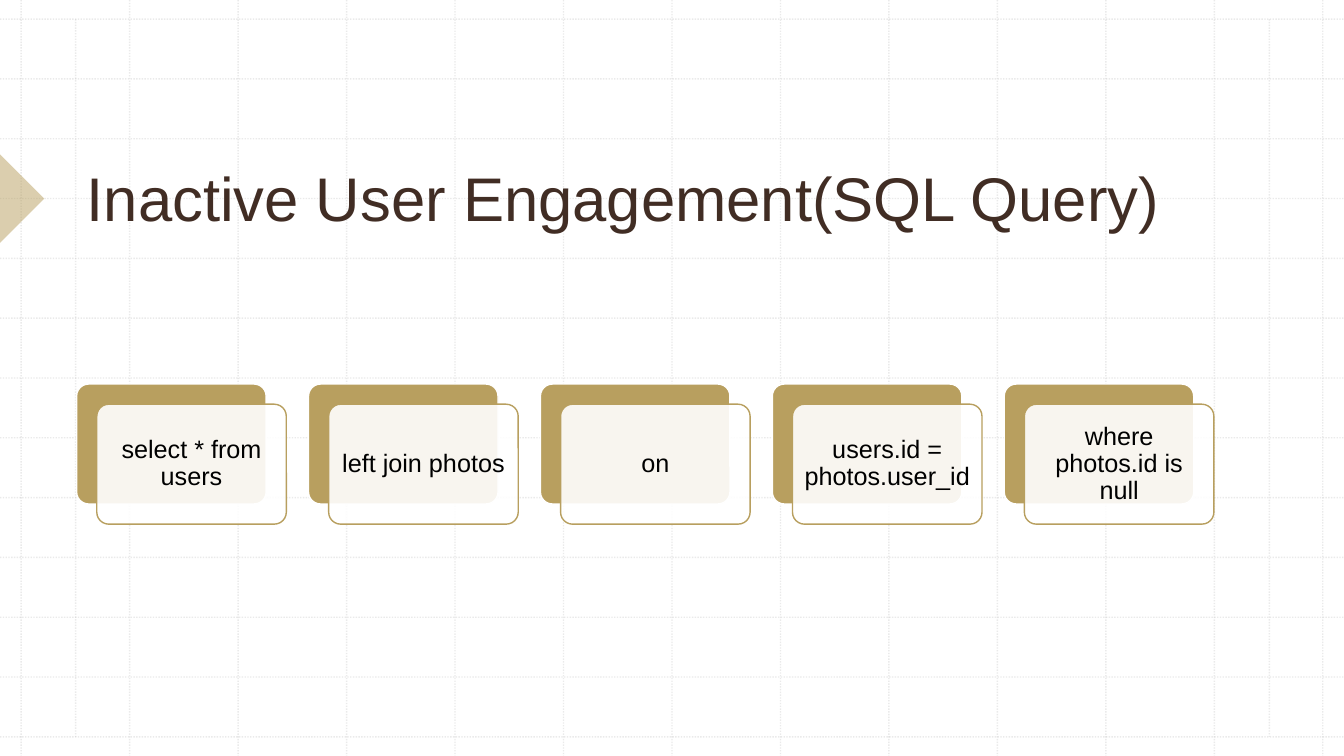
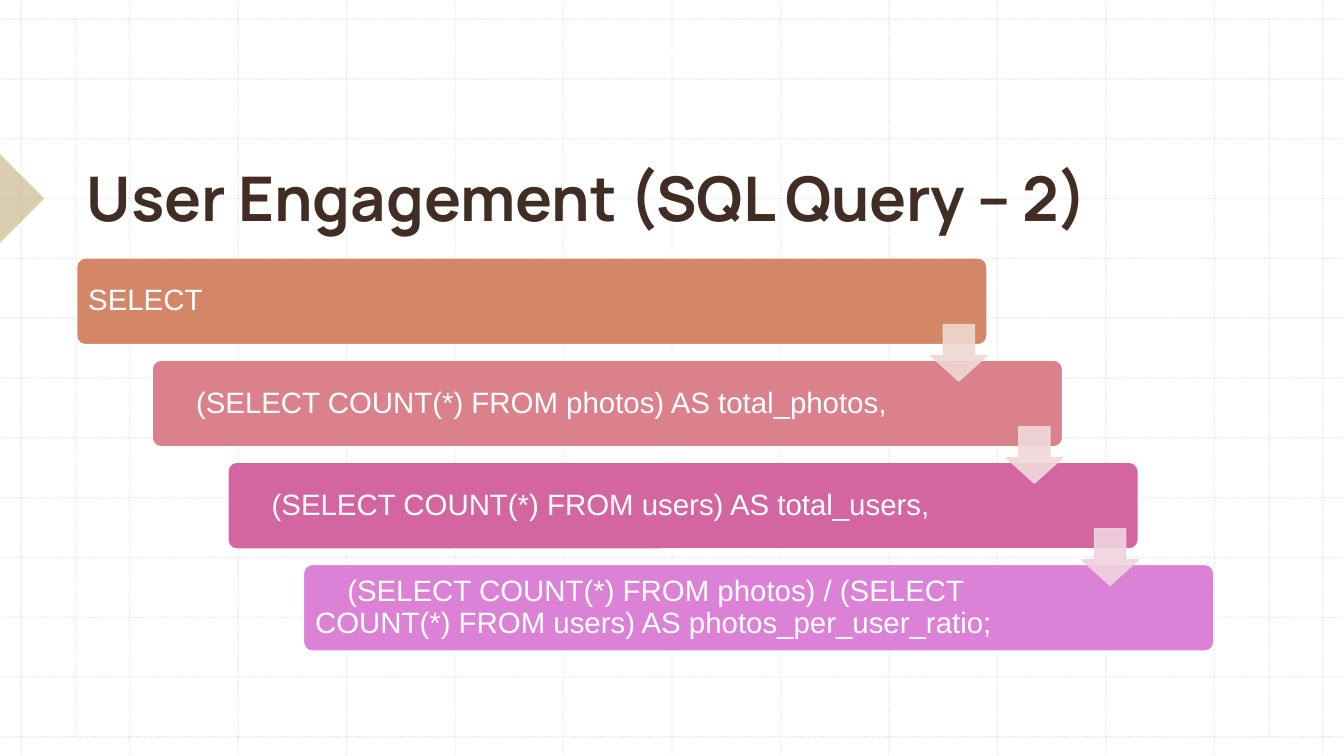
from lxml import etree
from pptx import Presentation
from pptx import util as u
from pptx.dml.color import RGBColor
from pptx.enum import dml, shapes, text
from pptx.oxml.ns import qn

Inches, Pt = u.Inches, u.Pt
SHAPE = shapes.MSO_SHAPE

WIDTH, HEIGHT = 13.33, 7.5
GRID = RGBColor(0xBC, 0xBC, 0xBC)
GOLD = RGBColor(0xB8, 0x9F, 0x5F)
BROWN = RGBColor(0x41, 0x2D, 0x24)
WHITE = RGBColor(0xFF, 0xFF, 0xFF)
BLACK = RGBColor(0, 0, 0)
ORANGE = RGBColor(0xD3, 0x87, 0x66)
ROSE = RGBColor(0xDB, 0x81, 0x8C)
PINK = RGBColor(0xD3, 0x66, 0xA0)
ORCHID = RGBColor(0xDB, 0x81, 0xD6)
PALE_ORANGE = RGBColor(0xEF, 0xD9, 0xD3)
PALE_ROSE = RGBColor(0xF1, 0xD8, 0xDA)
PALE_PINK = RGBColor(0xEF, 0xD3, 0xDF)

CLAUSES = ["select * from users", "left join photos", "on",
           "users.id = photos.user_id", "where photos.id is null"]
STEPS = [
    ("SELECT", 0, ORANGE, PALE_ORANGE),
    ("(SELECT COUNT(*) FROM photos) AS total_photos,", 0.32, ROSE, PALE_ROSE),
    ("(SELECT COUNT(*) FROM users) AS total_users,", 0.32, PINK, PALE_PINK),
    ("(SELECT COUNT(*) FROM photos) / (SELECT COUNT(*) FROM users) "
     "AS photos_per_user_ratio;", 0.32, ORCHID, None),
]


def fade(parent, percent):
    """Set the opacity of the solid fill directly under parent."""
    color = parent.find(qn("a:solidFill"))[0]
    etree.SubElement(color, qn("a:alpha"), val=str(percent * 1000))


def add_box(s, kind, box, fill, line=None, opacity=100, adj=()):
    """Add a flat preset shape in box (left, top, width, height)."""
    sp = s.shapes.add_shape(kind, *map(Inches, box))
    sp.shadow.inherit = False
    for i, value in enumerate(adj):
        sp.adjustments[i] = value
    sp.fill.solid()
    sp.fill.fore_color.rgb = fill
    if opacity < 100:
        fade(sp.element.spPr, opacity)
    if line is None:
        sp.line.fill.background()
    else:
        sp.line.color.rgb = line
        sp.line.width = Pt(1)
    return sp


def add_label(sp, words, size, color, align, inset, right=None, indent=0):
    """Write one paragraph, vertically centred, inside a shape."""
    tf = sp.text_frame
    tf.word_wrap = True
    tf.vertical_anchor = text.MSO_ANCHOR.MIDDLE
    tf.margin_left = tf.margin_top = tf.margin_bottom = Inches(inset)
    tf.margin_right = Inches(inset if right is None else right)
    p = tf.paragraphs[0]
    p.alignment = align
    p.line_spacing = 0.9
    if indent:
        p._p.get_or_add_pPr().set("indent", str(Inches(indent)))
    add_run(p, words, size, color, "Arial")


def add_run(p, words, size, color, font, bold=False):
    """Append a formatted run to a paragraph."""
    r = p.add_run()
    r.text = words
    r.font.size = Pt(size)
    r.font.name = font
    r.font.bold = bold
    r.font.color.rgb = color


def add_grid_line(s, x1, y1, x2, y2):
    """Add one faint dotted line."""
    c = s.shapes.add_connector(shapes.MSO_CONNECTOR.STRAIGHT,
                               *map(Inches, (x1, y1, x2, y2)))
    c.line.color.rgb = GRID
    c.line.width = Pt(1)
    c.line.dash_style = dml.MSO_LINE.ROUND_DOT
    spPr = c.element.spPr
    fade(spPr.find(qn("a:ln")), 30)
    etree.SubElement(spPr, qn("a:effectLst"))
    return c


def add_backdrop(s):
    """Draw the grid and the side marker, and return their shapes."""
    left, right, top, bottom, cells = 0.21, 13.12, 0.19, 7.31, 12
    parts = []
    for i in range(cells + 1):
        x = left + (right - left) * i / cells
        y = top + (bottom - top) * i / cells
        parts.append(add_grid_line(s, x, 0, x, HEIGHT))
        parts.append(add_grid_line(s, 0, y, WIDTH, y))
    for x in (0.75, 12.59):
        parts.append(add_grid_line(s, x, top, x, bottom))
    marker = add_box(s, SHAPE.RIGHT_TRIANGLE, (-0.31, 1.66, 0.62, 0.62), GOLD, opacity=50)
    marker.rotation = 225
    return parts + [marker]


def style_layout(layout, s):
    """Give the layout its title box and the backdrop drawn on slide s."""
    for ph in list(layout.placeholders):
        if ph.placeholder_format.idx:
            ph.element.getparent().remove(ph.element)
    title = layout.placeholders[0]
    title.left, title.top, title.width, title.height = map(Inches, (0.76, 0.79, 11.29, 1.58))
    title.text_frame.vertical_anchor = text.MSO_ANCHOR.BOTTOM
    title.text_frame.auto_size = text.MSO_AUTO_SIZE.NONE
    for part in add_backdrop(s):
        title.element.addprevious(part.element)


def set_title(s, words, font, bold=False):
    """Fill the title placeholder."""
    p = s.shapes.title.text_frame.paragraphs[0]
    p.alignment = text.PP_ALIGN.LEFT
    add_run(p, words, 44, BROWN, font, bold)


def add_clause_cards(s, box, clauses):
    """Lay out a row of two-layer cards across box."""
    left, top, width, height = box
    shift, card_w = 0.2, 1.88
    card_h = height - shift
    pitch = (width - card_w - shift) / (len(clauses) - 1)
    for i, clause in enumerate(clauses):
        x = left + i * pitch
        add_box(s, SHAPE.ROUNDED_RECTANGLE, (x, top, card_w, card_h), GOLD, WHITE, adj=[0.1])
        front = add_box(s, SHAPE.ROUNDED_RECTANGLE, (x + shift, top + shift, card_w, card_h),
                        WHITE, GOLD, opacity=90, adj=[0.1])
        add_label(front, clause, 18, BLACK, text.PP_ALIGN.CENTER, 0.07)


def add_staircase(s, box, steps):
    """Lay out overlapping steps down box, then the arrows between them."""
    left, top, width, height = box
    step_w, step_h, arrow = 9.03, 0.86, 0.56
    dx = (width - step_w) / (len(steps) - 1)
    dy = (height - step_h) / (len(steps) - 1)
    for i, (words, indent, fill, _) in enumerate(steps):
        sp = add_box(s, SHAPE.ROUNDED_RECTANGLE,
                     (left + i * dx, top + i * dy, step_w, step_h), fill, WHITE, adj=[0.1])
        add_label(sp, words, 21, WHITE, text.PP_ALIGN.LEFT, 0.09, 1.4, indent)
    for i, (_, _, _, pale) in enumerate(steps[:-1]):
        x = left + i * dx + step_w - arrow
        y = top + i * dy + 0.66
        sp = add_box(s, SHAPE.DOWN_ARROW, (x, y, arrow, arrow), pale, pale, 90, [0.55, 0.45])
        fade(sp.element.spPr.find(qn("a:ln")), 90)


def main():
    """Build and save the two slides."""
    prs = Presentation()
    prs.slide_width, prs.slide_height = Inches(WIDTH), Inches(HEIGHT)
    layout = prs.slide_layouts[5]

    s = prs.slides.add_slide(layout)
    style_layout(layout, s)
    set_title(s, "Inactive User Engagement(SQL Query)", "Arial")
    add_clause_cards(s, (0.76, 3.81, 11.28, 1.39), CLAUSES)

    s = prs.slides.add_slide(layout)
    set_title(s, "User Engagement (SQL Query – 2)", "Manrope", bold=True)
    add_staircase(s, (0.76, 2.56, 11.28, 3.9), STEPS)

    prs.save("out.pptx")


if __name__ == "__main__":
    main()
